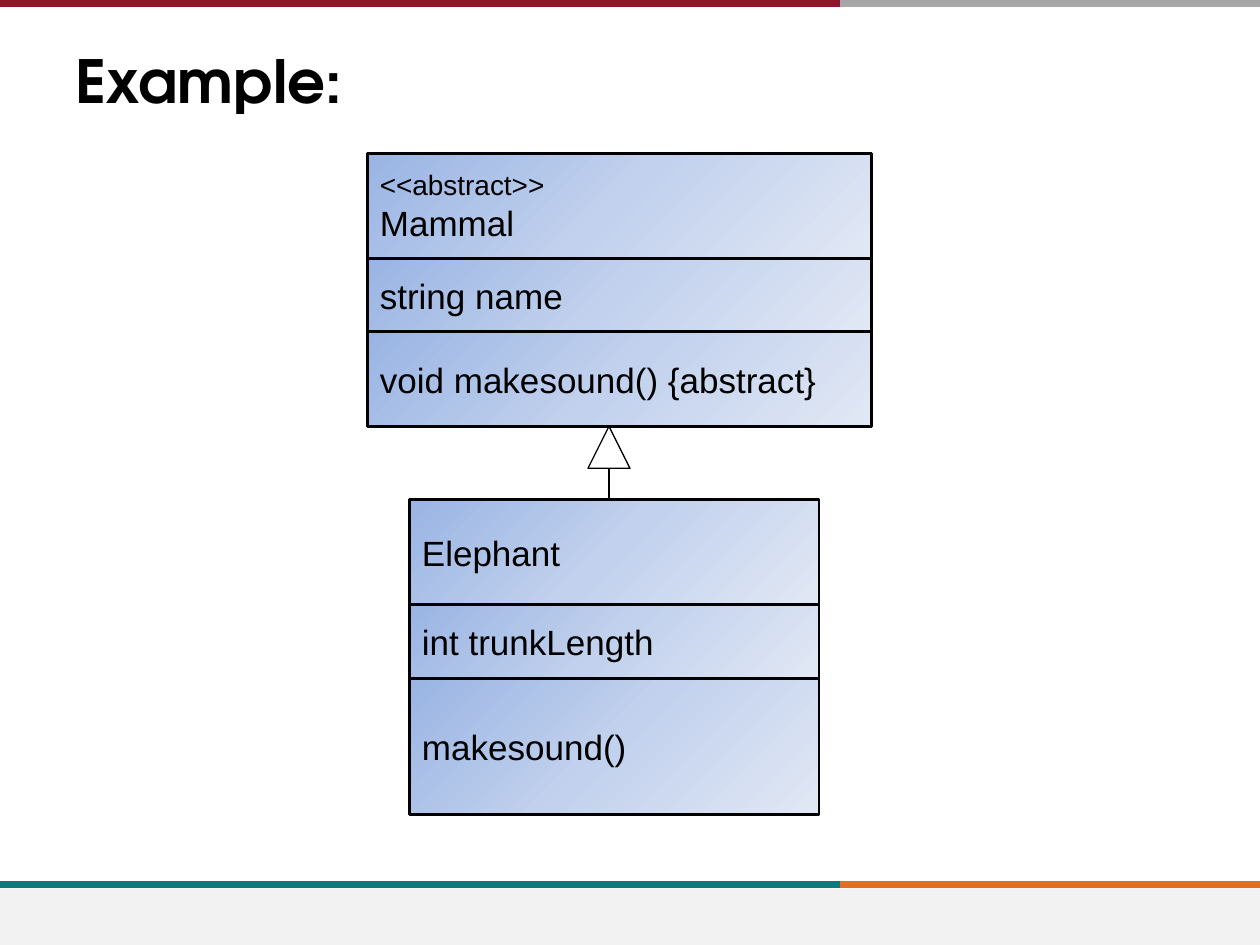
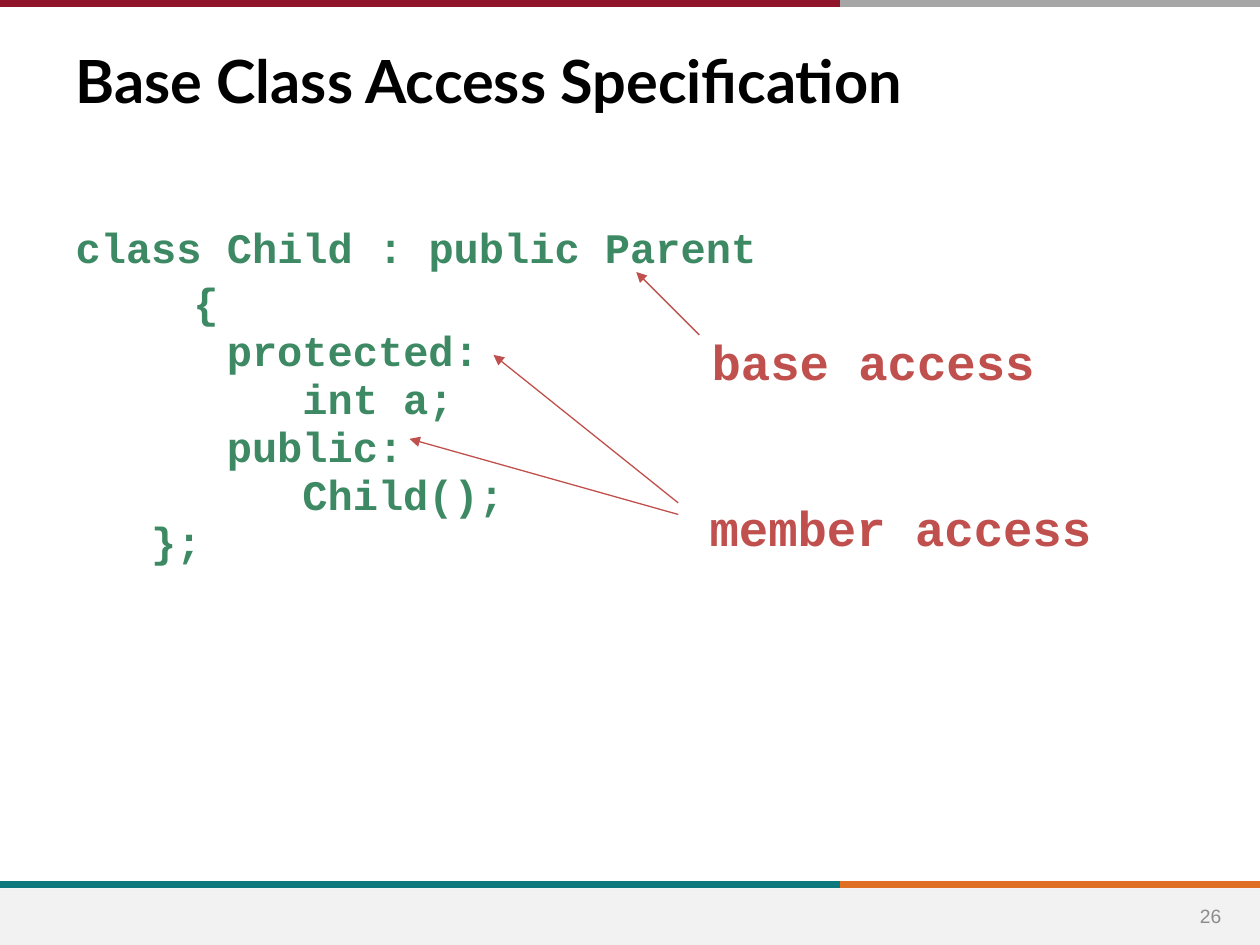
from copy import deepcopy

from pptx import Presentation
from pptx.dml.color import RGBColor
from pptx.enum.shapes import MSO_CONNECTOR, MSO_SHAPE
from pptx.enum.text import MSO_ANCHOR, MSO_AUTO_SIZE, PP_ALIGN
from pptx.oxml.ns import qn
from pptx.util import Inches, Pt
from lxml.etree import SubElement

# Grid: 120 columns by 90 rows on a 10 by 7.5 inch slide
COLS, ROWS = 120, 90
UNIT = Inches(10) / COLS
SPLIT = COLS * 2 / 3
COLORS = {
    "red": "90152A", "gray": "A6A6A6", "teal": "0F787D", "orange": "DF7023",
    "foot": "F2F2F2", "black": "000000", "code": "3D8963", "note": "C0504D",
    "page": "8C8C8C", "deep": "9AB5E4", "mid": "C2D1ED", "pale": "E1E8F5",
}
SANS, MONO = "Arial", "Courier New"
CHAR = Inches(0.2)  # width of one code character


def color(name):
    return RGBColor.from_string(COLORS[name])


def grid(*cells):
    return [round(cell * UNIT) for cell in cells]


def style(para, face, size, tint, bold=False):
    font = para.font
    font.name, font.size, font.bold = face, Pt(size), bold
    font.color.rgb = color(tint)


def place(shape, *cells):
    shape.left, shape.top, shape.width, shape.height = grid(*cells)


def line(slide, start, end, tint, width=0.75, arrow=False):
    link = slide.shapes.add_connector(
        MSO_CONNECTOR.STRAIGHT, *grid(*start), *grid(*end))
    link.line.color.rgb = color(tint)
    link.line.width = Pt(width)
    if arrow:
        SubElement(link.line._get_or_add_ln(), qn("a:tailEnd"), type="triangle")
    SubElement(link._element.spPr, qn("a:effectLst"))


def block(slide, kind, *cells):
    shape = slide.shapes.add_shape(kind, *grid(*cells))
    shape.shadow.inherit = False
    return shape


def frame(slide):
    """Colour bands at the top and above the footer."""
    for row, left, right in ((0.36, "red", "gray"), (84.24, "teal", "orange")):
        line(slide, (0, row), (SPLIT, row), left, 4)
        line(slide, (SPLIT, row), (COLS, row), right, 4)
    foot = block(slide, MSO_SHAPE.RECTANGLE, 0, 84.6, COLS, 5.4)
    foot.fill.solid()
    foot.fill.fore_color.rgb = color("foot")
    foot.line.fill.background()


def page(deck, layout, title, face):
    slide = deck.slides.add_slide(deck.slide_layouts[layout])
    frame(slide)
    head = slide.shapes.title
    place(head, 6, 3.6, 108, 15)
    text = head.text_frame
    text.text = title
    text.auto_size = MSO_AUTO_SIZE.NONE
    text.vertical_anchor = MSO_ANCHOR.TOP
    para = text.paragraphs[0]
    para.alignment = PP_ALIGN.LEFT
    style(para, face, 34, "black", True)
    return slide


def shade(shape):
    """Three-stop diagonal gradient."""
    fill = shape.fill
    fill.gradient()
    fill.gradient_angle = 315
    stops = shape._element.spPr.find(qn("a:gradFill")).find(qn("a:gsLst"))
    stops.insert(1, deepcopy(stops[0]))
    for stop, tint, spot in zip(
            fill.gradient_stops, ("deep", "mid", "pale"), (0, 0.5, 1)):
        stop.color.rgb = color(tint)
        stop.position = spot


def uml(slide, left, top, width, parts):
    """Class box: stacked parts, each a height and its sized lines."""
    for height, rows in parts:
        box = block(slide, MSO_SHAPE.RECTANGLE, left, top, width, height)
        shade(box)
        box.line.color.rgb = color("black")
        box.line.width = Pt(1.5)
        text = box.text_frame
        text.word_wrap = True
        text.vertical_anchor = MSO_ANCHOR.MIDDLE
        text.text = "\n".join(words for words, _ in rows)
        for para, (_, size) in zip(text.paragraphs, rows):
            para.alignment = PP_ALIGN.LEFT
            style(para, SANS, size, "black")
        top += height


def label(slide, words, cells, face, size, tint, bold=False):
    text = slide.shapes.add_textbox(*grid(*cells)).text_frame
    text.word_wrap = True
    text.text = words
    style(text.paragraphs[0], face, size, tint, bold)
    return text


def code(body, rows):
    """Code lines, each with its indent in characters and space before."""
    place(body, 6, 21, 108, 59.4)
    text = body.text_frame
    text.auto_size = MSO_AUTO_SIZE.NONE
    text.text = "\n".join(words for words, _, _ in rows)
    for para, (_, depth, gap) in zip(text.paragraphs, rows):
        style(para, MONO, 24, "code", True)
        para.line_spacing = 0.9
        para.space_before = Pt(gap)
        props = para._p.get_or_add_pPr()
        props.set("marL", str(round(depth * CHAR)))
        props.set("indent", "0")
        SubElement(props, qn("a:buNone"))


def mammal(deck):
    slide = page(deck, 5, "Example:", "TeX Gyre Adventor")
    uml(slide, 35, 14.6, 48, [
        (10, [("<<abstract>>", 16), ("Mammal", 20)]),
        (7, [("string name", 20)]),
        (9, [("void makesound() {abstract}", 20)]),
    ])
    # Inheritance arrow
    tip = block(slide, MSO_SHAPE.ISOSCELES_TRIANGLE, 56, 40.6, 4, 4)
    tip.fill.background()
    tip.line.color.rgb = color("black")
    tip.line.width = Pt(0.75)
    line(slide, (58, 47.6), (58, 44.6), "black")
    uml(slide, 39, 47.6, 39, [
        (10, [("Elephant", 20)]),
        (7, [("int trunkLength", 20)]),
        (13, [("makesound()", 20)]),
    ])


def access(deck):
    slide = page(deck, 1, "Base Class Access Specification", "Lato")
    code(slide.placeholders[1], [
        ("class Child : public Parent", 0, 4.8),
        ("{", 4.67, 6),
        ("protected:", 6, 1.4),
        ("int a;", 9, 1.4),
        ("public:", 6, 1.4),
        ("Child();", 9, 1.4),
        ("};", 3, 1.4),
    ])
    # Page number
    text = label(slide, "26", (112.2, 84.8, 6.2, 4.8), SANS, 11, "page")
    text.vertical_anchor = MSO_ANCHOR.MIDDLE
    text.paragraphs[0].alignment = PP_ALIGN.CENTER
    # Notes and their arrows
    label(slide, "member access", (66.4, 46.8, 45.2, 6.8), MONO, 28, "note", True)
    label(slide, "base access", (66.6, 31, 37, 6.8), MONO, 28, "note", True)
    for start, end in (
            ((66.6, 31.9), (60.6, 25.9)),
            ((64.6, 49), (39, 41.8)),
            ((64.6, 47.9), (47, 33.8))):
        line(slide, start, end, "note", arrow=True)


def main():
    deck = Presentation()
    deck.slide_width, deck.slide_height = grid(COLS, ROWS)
    mammal(deck)
    access(deck)
    deck.save("out.pptx")


if __name__ == "__main__":
    main()
